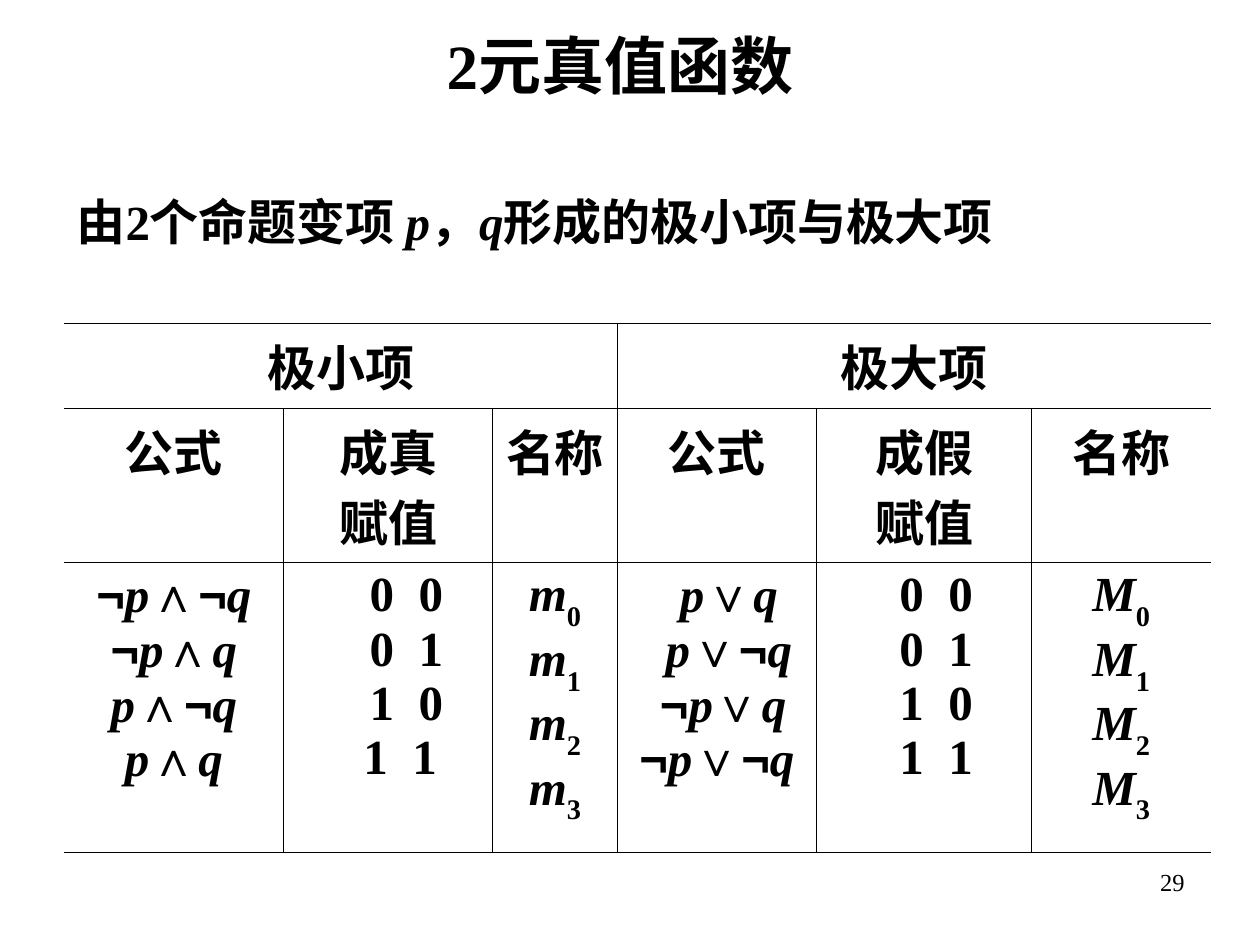
from itertools import groupby
from lxml.etree import SubElement as Sub
from pptx import Presentation
from pptx.dml.color import RGBColor as Rgb
from pptx.enum.text import MSO_ANCHOR as Anchor, MSO_AUTO_SIZE as Auto, PP_ALIGN as Align
from pptx.oxml.ns import qn
from pptx.util import Inches, Pt

SERIF, SANS, HAN = "Times New Roman", "Arial", "Noto Sans CJK SC"


def kind(char):
    if char in "pqmM":
        return "letter"
    if char in "¬∧∨":
        return "logic"
    if char == " ":
        return "space"
    return "han" if ord(char) > 0x2E80 else "digit"


def write(par, text, size=28, bold=True, align=Align.CENTER, face=SERIF, shift=0):
    par.alignment = align
    if shift:
        par._p.get_or_add_pPr().set("marL", str(Inches(shift)))
    font = par.font
    font.name, font.size, font.bold = face, Pt(size), bold
    font.color.rgb = Rgb.from_string("000000")
    last = ""
    for sort, part in groupby(text, kind):
        run = par.add_run()
        run.text = "".join(part)
        props = run._r.get_or_add_rPr()
        if sort == "letter":
            run.font.italic = True
        elif sort == "logic":
            run.font.name = SANS
        elif sort == "han":
            Sub(props, qn("a:ea")).set("typeface", HAN)
        elif sort == "space" and last == "digit":
            props.set("spc", "700")
        elif sort == "digit" and last == "letter":
            props.set("baseline", "-30000")
        last = sort


deck = Presentation()
deck.slide_width, deck.slide_height = Inches(10), Inches(7.5)
slide = deck.slides.add_slide(deck.slide_layouts[5])

title = slide.shapes.title
title.left, title.top = Inches(2.48), Inches(0.28)
title.width, title.height = Inches(4.88), Inches(0.46)
title.text_frame.auto_size = Auto.NONE
title.text_frame.vertical_anchor = Anchor.MIDDLE
write(title.text_frame.paragraphs[0], "2元真值函数", 36)

for text, box, size, bold, align in [
    ("由2个命题变项 p，q形成的极小项与极大项", (0.51, 1.47, 9, 0.58), 28, True, Align.JUSTIFY),
    ("29", (7.17, 6.83, 2.33, 0.52), 14, False, Align.RIGHT),
]:
    frame = slide.shapes.add_textbox(*map(Inches, box)).text_frame
    frame.word_wrap = True
    write(frame.paragraphs[0], text, size, bold, align)

pairs = ["0 0", "0 1", "1 0", "1 1"]
rows = [
    [["极小项"], [], [], ["极大项"], [], []],
    [["公式"], ["成真", "赋值"], ["名称"], ["公式"], ["成假", "赋值"], ["名称"]],
    [
        ["¬p∧¬q", "¬p∧q", "p∧¬q", "p∧q"],
        pairs,
        [f"m{n}" for n in range(4)],
        ["p∨q", "p∨¬q", "¬p∨q", "¬p∨¬q"],
        pairs,
        [f"M{n}" for n in range(4)],
    ],
]
shifts = {1: [0.29, 0.29, 0.29, 0.19], 3: [0.19, 0.19, 0.1, 0], 4: [0.19] * 4}
wide = [1.74, 1.66, 0.99, 1.58, 1.71, 1.42]
high = [0.67, 1.22, 2.3]

table = slide.shapes.add_table(
    3, 6, Inches(0.51), Inches(2.57), Inches(sum(wide)), Inches(sum(high))
).table
table.first_row = table.horz_banding = False
for col, width in zip(table.columns, wide):
    col.width = Inches(width)
for row, height in zip(table.rows, high):
    row.height = Inches(height)
for start in (0, 3):
    table.cell(0, start).merge(table.cell(0, start + 2))

for r, row in enumerate(rows):
    for c, lines in enumerate(row):
        cell = table.cell(r, c)
        props = cell._tc.get_or_add_tcPr()
        end = c + cell.span_width if cell.is_merge_origin else c + 1
        for side in "LRTB":
            edge = Sub(props, qn("a:ln" + side), w=str(Pt(0.45)))
            if (side == "L" and c == 0) or (side == "R" and end == 6):
                Sub(edge, qn("a:noFill"))
            else:
                Sub(Sub(edge, qn("a:solidFill")), qn("a:srgbClr"), val="000000")
        cell.fill.background()
        frame = cell.text_frame
        for n, line in enumerate(lines):
            par = frame.add_paragraph() if n else frame.paragraphs[0]
            shift = shifts[c][n] if r == 2 and c in shifts else 0
            write(par, line, face=SERIF if r == 2 else HAN, shift=shift)

deck.save("out.pptx")
